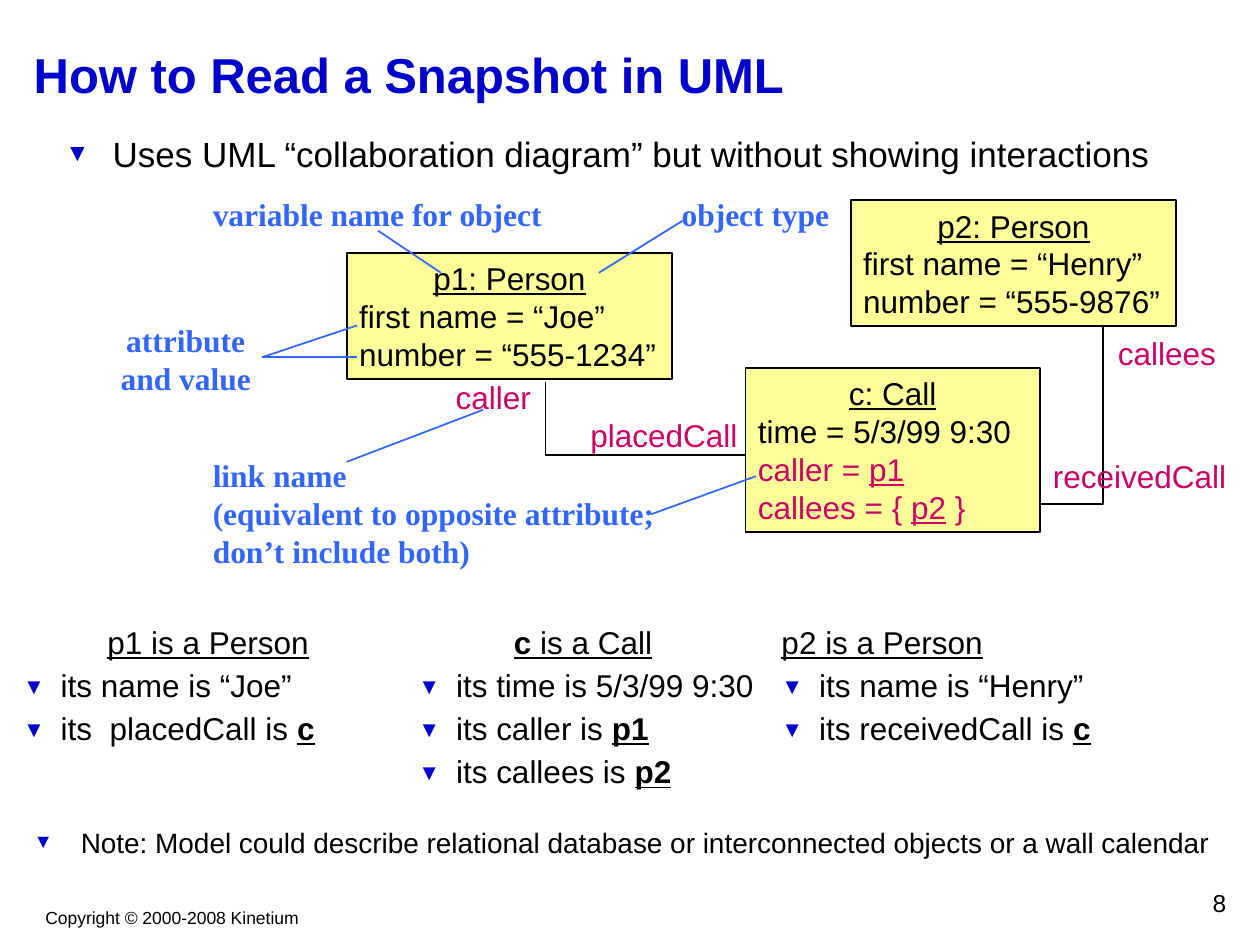
from lxml import etree
from pptx import Presentation, util as u
from pptx.dml.color import RGBColor
from pptx.enum import shapes, text
from pptx.oxml.ns import qn

Cm, Pt = u.Cm, u.Pt
BLACK = RGBColor(0x00, 0x00, 0x00)
NAVY = RGBColor(0x00, 0x00, 0xCC)
SKY = RGBColor(0x33, 0x66, 0xFF)
MAGENTA = RGBColor(0xCC, 0x00, 0x66)
YELLOW = RGBColor(0xFF, 0xFF, 0x99)
LEFT, CENTER, RIGHT = text.PP_ALIGN.LEFT, text.PP_ALIGN.CENTER, text.PP_ALIGN.RIGHT
TOP, MIDDLE = text.MSO_ANCHOR.TOP, text.MSO_ANCHOR.MIDDLE


class UmlSlide:
    def __init__(self, slide):
        self.shapes = slide.shapes

    def paragraph(self, frame, index, runs, size=18, color=BLACK, font="Arial",
                  bold=None, align=LEFT, indent=None, before=0):
        """Writes a plain string, or (wording, marks) pairs with marks from "b" and "u"."""
        para = frame.paragraphs[0] if index == 0 else frame.add_paragraph()
        para.alignment = align
        if index:
            para.space_before = Pt(before)
        if indent:
            self.bullet(para, indent)
        pairs = [(runs, "")] if isinstance(runs, str) else runs
        for wording, marks in pairs:
            run = para.add_run()
            run.text = wording
            if "b" in marks:
                run.font.bold = True
            if "u" in marks:
                run.font.underline = True
        para.font.name, para.font.size, para.font.bold = font, Pt(size), bold
        para.font.color.rgb = color

    def bullet(self, para, indent):
        props = para._p.get_or_add_pPr()
        props.set("marL", str(Cm(indent)))
        props.set("indent", str(-Cm(indent)))
        tint = etree.SubElement(props, qn("a:buClr"))
        etree.SubElement(tint, qn("a:srgbClr")).set("val", str(NAVY))
        etree.SubElement(props, qn("a:buSzPct")).set("val", "70000")
        etree.SubElement(props, qn("a:buFont")).set("typeface", "Arial")
        etree.SubElement(props, qn("a:buChar")).set("char", "▼")

    def label(self, place, *lines, anchor=MIDDLE, wrap=False, **style):
        box = self.shapes.add_textbox(*map(Cm, place))
        box.text_frame.word_wrap = wrap
        box.text_frame.vertical_anchor = anchor
        for index, line in enumerate(lines):
            self.paragraph(box.text_frame, index, line, **style)

    def note(self, place, *lines, align=LEFT):
        self.label(place, *lines, color=SKY, font="Times New Roman", bold=True, align=align)

    def role(self, place, name):
        self.label(place, name, color=MAGENTA, align=CENTER)

    def instance(self, place, heading, attributes, references=()):
        """Draws an object box; references are the attributes that stand for links."""
        box = self.shapes.add_shape(shapes.MSO_SHAPE.RECTANGLE, *map(Cm, place))
        box.shadow.inherit = False
        box.fill.solid()
        box.fill.fore_color.rgb = YELLOW
        self.outline(box.line, BLACK)
        frame = box.text_frame
        frame.word_wrap = True
        frame.vertical_anchor = MIDDLE
        self.paragraph(frame, 0, [(heading, "u")], align=CENTER)
        for index, runs in enumerate([*attributes, *references], 1):
            color = BLACK if index <= len(attributes) else MAGENTA
            self.paragraph(frame, index, runs, color=color)

    def outline(self, line, color):
        line.color.rgb = color
        line.width = Pt(1)

    def pointer(self, start, end):
        line = self.shapes.add_connector(
            shapes.MSO_CONNECTOR.STRAIGHT, *map(Cm, (*start, *end)))
        self.outline(line.line, SKY)
        etree.SubElement(line._element.spPr, qn("a:effectLst"))

    def link(self, start, *corners):
        builder = self.shapes.build_freeform(*map(Cm, start))
        builder.add_line_segments([tuple(map(Cm, c)) for c in corners], close=False)
        path = builder.convert_to_shape()
        path.shadow.inherit = False
        path.fill.background()
        self.outline(path.line, BLACK)

    def facts(self, place, widths, columns):
        table = self.shapes.add_table(1, len(columns), *map(Cm, place)).table
        table.first_row = table.horz_banding = False
        for index, (width, (heading, align, items)) in enumerate(zip(widths, columns)):
            table.columns[index].width = Cm(width)
            cell = table.cell(0, index)
            cell.fill.background()
            self.paragraph(cell.text_frame, 0, heading, align=align)
            for row, item in enumerate(items, 1):
                self.paragraph(cell.text_frame, row, item, indent=0.76, before=4.5)


def main():
    deck = Presentation()
    deck.slide_width, deck.slide_height = Cm(25.4), Cm(19.05)
    page = UmlSlide(deck.slides.add_slide(deck.slide_layouts[6]))

    page.label((0.56, 18.16, 5.81, 0.69), "Copyright © 2000-2008 Kinetium",
               size=10, align=CENTER, anchor=TOP)
    page.label((19.69, 17.78, 5.28, 0.84), "8", size=14, align=RIGHT, anchor=TOP, wrap=True)
    page.label((0.43, 0.43, 24.56, 2.11), "How to Read a Snapshot in UML",
               size=28, color=NAVY, bold=True, wrap=True)
    page.label((1.07, 2.54, 23.5, 1.27),
               "Uses UML “collaboration diagram” but without showing interactions",
               size=20, indent=0.95, anchor=TOP, wrap=True)

    page.instance((6.99, 5.1, 6.56, 2.54), "p1: Person",
                  ["first name = “Joe”", "number = “555-1234”"])
    page.instance((17.15, 4.04, 6.56, 2.54), "p2: Person",
                  ["first name = “Henry”", "number = “555-9876”"])
    page.instance((15.03, 7.42, 5.93, 3.3), "c: Call", ["time = 5/3/99 9:30"],
                  [[("caller = ", ""), ("p1", "u")],
                   [("callees = { ", ""), ("p2", "u"), (" }", "")]])

    page.link((11, 7.7), (11, 9.17), (15.03, 9.17))
    page.link((20.96, 10.16), (22.23, 10.16), (22.23, 6.58))
    page.role((8.74, 7.49, 2.41, 1.02), "caller")
    page.role((11.46, 8.26, 3.85, 1.02), "placedCall")
    page.role((22.08, 6.6, 2.89, 1.02), "callees")
    page.role((20.78, 9.09, 4.39, 1.02), "receivedCall")

    page.note((4.04, 3.81, 7.5, 1.02), "variable name for object")
    page.note((13.49, 3.81, 3.8, 1.02), "object type")
    page.note((1.93, 6.35, 3.63, 1.78), "attribute", "and value", align=CENTER)
    page.note((4.04, 9.07, 9.9, 2.54), "link name",
              "(equivalent to opposite attribute;", "don’t include both)")
    for start, end in [((7.62, 4.65), (8.89, 5.5)), ((13.76, 4.45), (12.07, 5.5)),
                       ((7.2, 7.2), (5.29, 7.2)), ((7.2, 6.56), (5.29, 7.2)),
                       ((9.74, 8.26), (6.99, 9.31)), ((15.24, 9.6), (13.12, 10.37))]:
        page.pointer(start, end)

    page.facts((0.21, 12.49, 24.97, 3.81), (7.97, 7.32, 9.68), [
        ([("p1 is a Person", "u")], CENTER,
         ["its name is “Joe”", [("its  placedCall is ", ""), ("c", "bu")]]),
        ([("c ", "bu"), ("is a Call", "u"), (" ", "")], CENTER,
         ["its time is 5/3/99 9:30",
          [("its caller is ", ""), ("p1", "bu")],
          [("its callees is ", ""), ("p2", "bu")]]),
        ([("p2 is a Person", "u")], LEFT,
         ["its name is “Henry”", [("its receivedCall is ", ""), ("c", "bu")]]),
    ])
    page.label((0.43, 16.51, 24.56, 1.47),
               "Note: Model could describe relational database or interconnected "
               "objects or a wall calendar",
               size=16, indent=0.95, anchor=TOP, wrap=True)
    deck.save("out.pptx")


if __name__ == "__main__":
    main()
